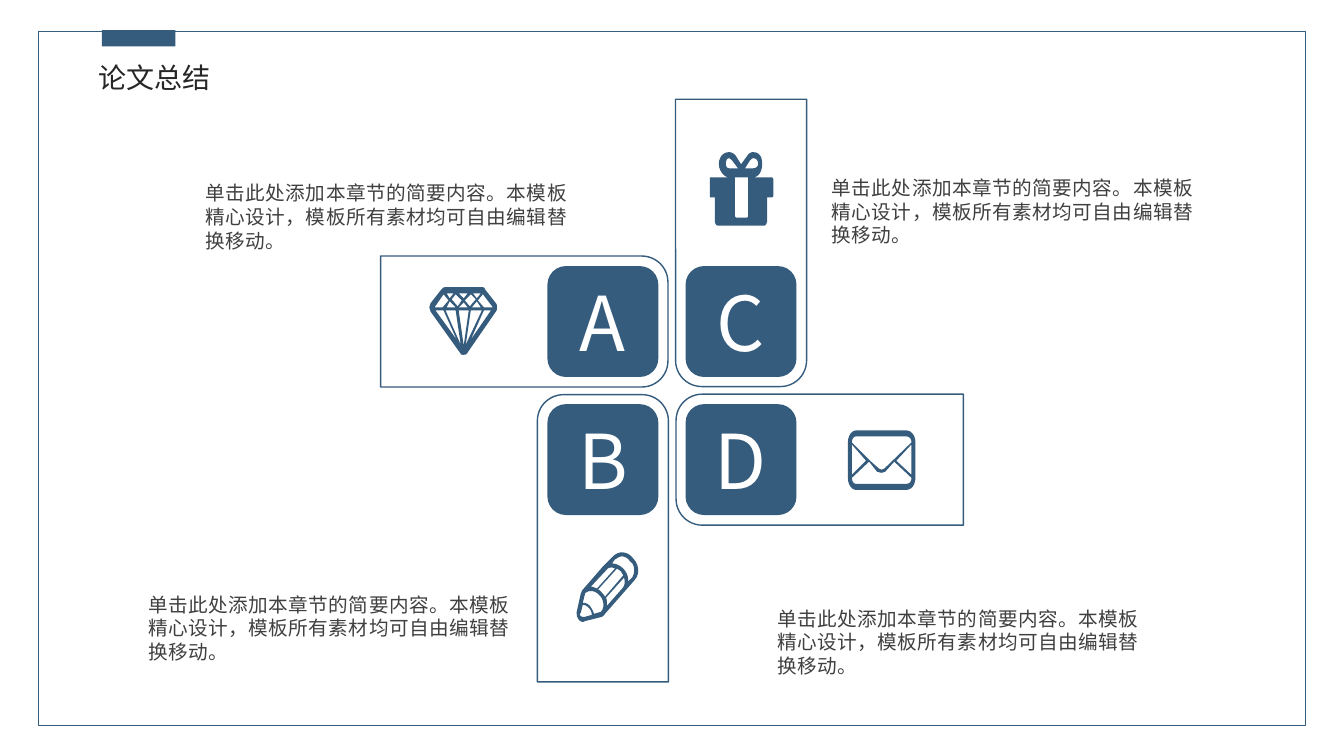
from pptx import Presentation
from pptx.dml.color import RGBColor
from pptx.enum.shapes import MSO_SHAPE as SHAPE
from pptx.enum.text import MSO_ANCHOR as ANCHOR, PP_ALIGN as ALIGN
from pptx.util import Inches, Pt

FONT = "Noto Sans CJK SC"
BLUE = "355C7D"
BODY = "单击此处添加本章节的简要内容。本模板精心设计，模板所有素材均可自由编辑替换移动。"
TILE, PITCH = 1.1, 1.37
PANEL_W, PANEL_H, PANEL_SHIFT = 1.3, 2.85, 0.78

# Contours in hundredths of an inch: "x,y" is a line, six numbers are a cubic curve.
GEM = [
    "492,301 481,287 481,286,480,285,479,285 441,285 440,285,439,286,438,287 427,301"
    " 427,302,426,304,426,305 426,306,427,308,427,309 457,351 457,352,458,352,460,352"
    " 461,352,462,352,463,351 492,309 493,308,493,306,493,305 493,304,493,302,492,301",
    "477,291 473,296 469,291", "477,305 468,305 473,299",
    "472,297 466,304 461,298 467,292", "464,305 455,305 460,300",
    "464,291 460,296 455,291", "458,298 454,304 448,297 452,292",
    "452,305 443,305 446,299", "450,291 446,296 443,291",
    "440,292 445,298 439,305 431,305", "432,308 440,308 453,337",
    "442,308 452,308 457,342", "455,308 465,308 460,343",
    "462,342 467,308 478,308", "467,337 480,308 487,308",
    "480,305 474,298 479,292 489,305",
]
ENVELOPE = [
    "899,427 849,427 845,427,841,432,841,439 841,474 841,481,845,486,849,486"
    " 899,486 904,486,908,481,908,474 908,439 908,432,904,427,899,427",
    "845,441 859,457 845,471",
    "904,474 904,478,902,480,899,480 849,480 847,480,845,478,845,474 862,458"
    " 870,468 871,468,873,469,874,469 876,469,877,468,878,468 887,458",
    "904,471 889,457 904,441",
    "877,465 876,465,875,466,874,466 874,466,873,465,872,465 863,457 845,439"
    " 845,435,847,433,849,433 899,433 902,433,904,435,904,439",
]
PENCIL = [
    "628,554 625,550,621,548,617,548 613,548,610,550,608,552 598,562 578,585"
    " 577,586,577,587,576,589 572,607 572,607,572,608,572,609 572,613,575,617,578,617"
    " 579,617,580,616,581,616 597,612 598,611,599,611,600,609 629,576"
    " 635,570,634,560,628,554",
    "602,599 602,597,602,595,601,593 619,573 620,577,620,581,617,584 602,601",
    "600,592 599,590,598,589,597,588 596,587,595,585,593,585 612,564"
    " 613,565,615,566,616,567 617,569,618,570,618,571",
    "592,584 590,583,588,582,586,582 601,566 603,563,606,562,610,564",
    "580,612 579,612,579,612,578,612 577,612,575,611,575,609 576,608 578,600"
    " 580,600,582,601,584,603 586,605,587,608,587,610",
    "589,609 589,607,587,604,585,601 583,599,581,598,578,598 580,590"
    " 580,589,580,589,581,588 585,585,591,586,595,591 599,595,600,603,596,607",
    "627,573 623,577 623,576,623,576,623,575 623,571,621,567,618,564"
    " 615,561,611,559,607,559 610,555 612,554,614,552,617,552"
    " 620,552,623,554,625,557 628,559,629,562,629,566 629,569,628,571,627,573",
]
GIFT = [
    "767,194 767,196,765,196,765,196 761,196 761,218 761,222,759,224,758,224 713,224"
    " 710,224,709,222,709,218 709,196 706,196 704,196,704,196,704,194 704,178"
    " 704,176,704,176,706,176 723,176 718,176,713,169,713,163 713,155,718,151,723,151"
    " 726,151,729,153,730,155 735,163 741,155 742,153,744,151,747,151"
    " 753,151,756,155,756,163 756,169,753,176,747,176 765,176 765,176,767,176,767,178",
    "732,167 726,159 726,159,724,157,723,157 721,157,720,159,720,163"
    " 720,165,721,167,723,167",
    "742,210 742,176 729,176 729,214 729,216,730,216,732,216 739,216"
    " 741,216,742,216,742,214",
    "747,157 745,157,745,159,744,159 739,167 747,167 750,167,752,165,752,163"
    " 752,159,750,157,747,157",
]

# Letter, column, row, outward direction, panel rotation, body position, icon.
BLADES = [
    ("A", 0, 0, (-1, 0), 90, (1.94, 1.75), GEM),
    ("B", 0, 1, (0, 1), 0, (1.37, 5.83), PENCIL),
    ("C", 1, 0, (0, -1), 180, (8.15, 1.7), GIFT),
    ("D", 1, 1, (1, 0), 270, (7.61, 5.97), ENVELOPE),
]


def rgb(color):
    """Turn a hex string into a colour."""
    return RGBColor.from_string(color)


def paint(sp, fill=None, line=None):
    """Set the fill and outline of a shape and drop its shadow."""
    sp.shadow.inherit = False
    if fill:
        sp.fill.solid()
        sp.fill.fore_color.rgb = rgb(fill)
    else:
        sp.fill.background()
    if line:
        sp.line.color.rgb = rgb(line)
        sp.line.width = Pt(1)
    else:
        sp.line.fill.background()


def add_box(s, kind, x, y, w, h, fill=None, line=None):
    """Add a painted preset shape."""
    sp = s.shapes.add_shape(kind, Inches(x), Inches(y), Inches(w), Inches(h))
    paint(sp, fill, line)
    return sp


def set_text(sp, text, size, color):
    """Write one formatted paragraph and return it."""
    tf = sp.text_frame
    tf.word_wrap = True
    tf.text = text
    p = tf.paragraphs[0]
    r = p.runs[0]
    r.font.size, r.font.name, r.font.color.rgb = Pt(size), FONT, rgb(color)
    rPr = r._r.get_or_add_rPr()
    ea = rPr.makeelement(rPr[-1].tag.replace("latin", "ea"), {"typeface": FONT})
    rPr.append(ea)
    return p


def add_text(s, x, y, w, h, text, size, color):
    """Add a wrapping text box."""
    sp = s.shapes.add_textbox(Inches(x), Inches(y), Inches(w), Inches(h))
    return set_text(sp, text, size, color)


def trace(contour, steps=6):
    """Turn a contour string into a list of points."""
    points = []
    for token in contour.split():
        n = [Inches(int(v) / 100) for v in token.split(",")]
        if len(n) == 2:
            points.append(tuple(n))
            continue
        ends = [points[-1], n[0:2], n[2:4], n[4:6]]
        for i in range(1, steps + 1):
            t = i / steps
            weights = ((1 - t) ** 3, 3 * t * (1 - t) ** 2, 3 * t * t * (1 - t), t ** 3)
            points.append(tuple(sum(k * e[axis] for k, e in zip(weights, ends))
                                for axis in (0, 1)))
    return points


def add_icon(s, contours):
    """Add a filled outline with its holes."""
    outer, *holes = [trace(c) for c in contours]
    builder = s.shapes.build_freeform(*outer[0])
    builder.add_line_segments(outer[1:])
    for hole in holes:
        builder.move_to(*hole[0])
        builder.add_line_segments(hole[1:])
    paint(builder.convert_to_shape(), BLUE)


def add_blade(s, letter, col, row, direction, rotation, body_at, icon):
    """Add a panel with its letter tile, icon and body text."""
    x, y = 5.43 + col * PITCH, 2.64 + row * PITCH
    cx, cy = (a + TILE / 2 + d * PANEL_SHIFT for a, d in zip((x, y), direction))
    panel = add_box(s, SHAPE.ROUND_2_SAME_RECTANGLE, cx - PANEL_W / 2, cy - PANEL_H / 2,
                    PANEL_W, PANEL_H, line=BLUE)
    panel.adjustments[0] = 0.2
    panel.rotation = rotation
    tile = add_box(s, SHAPE.ROUNDED_RECTANGLE, x, y, TILE, TILE, BLUE)
    tile.text_frame.vertical_anchor = ANCHOR.MIDDLE
    set_text(tile, letter, 54, "FFFFFF").alignment = ALIGN.CENTER
    add_icon(s, icon)
    p = add_text(s, *body_at, 3.85, 0.95, BODY, 14, "404040")
    p.runs[0]._r.get_or_add_rPr().set("spc", "30")


def main():
    """Build and save the slide."""
    prs = Presentation()
    prs.slide_width, prs.slide_height = Inches(13.33), Inches(7.5)
    s = prs.slides.add_slide(prs.slide_layouts[6])
    add_box(s, SHAPE.RECTANGLE, 0.38, 0.31, 12.57, 6.89, line=BLUE)
    add_box(s, SHAPE.RECTANGLE, 1.01, 0.3, 0.73, 0.16, BLUE)
    add_text(s, 0.88, 0.55, 1.94, 0.44, "论文总结", 20, "262626")
    for blade in BLADES:
        add_blade(s, *blade)
    prs.save("out.pptx")


if __name__ == "__main__":
    main()
